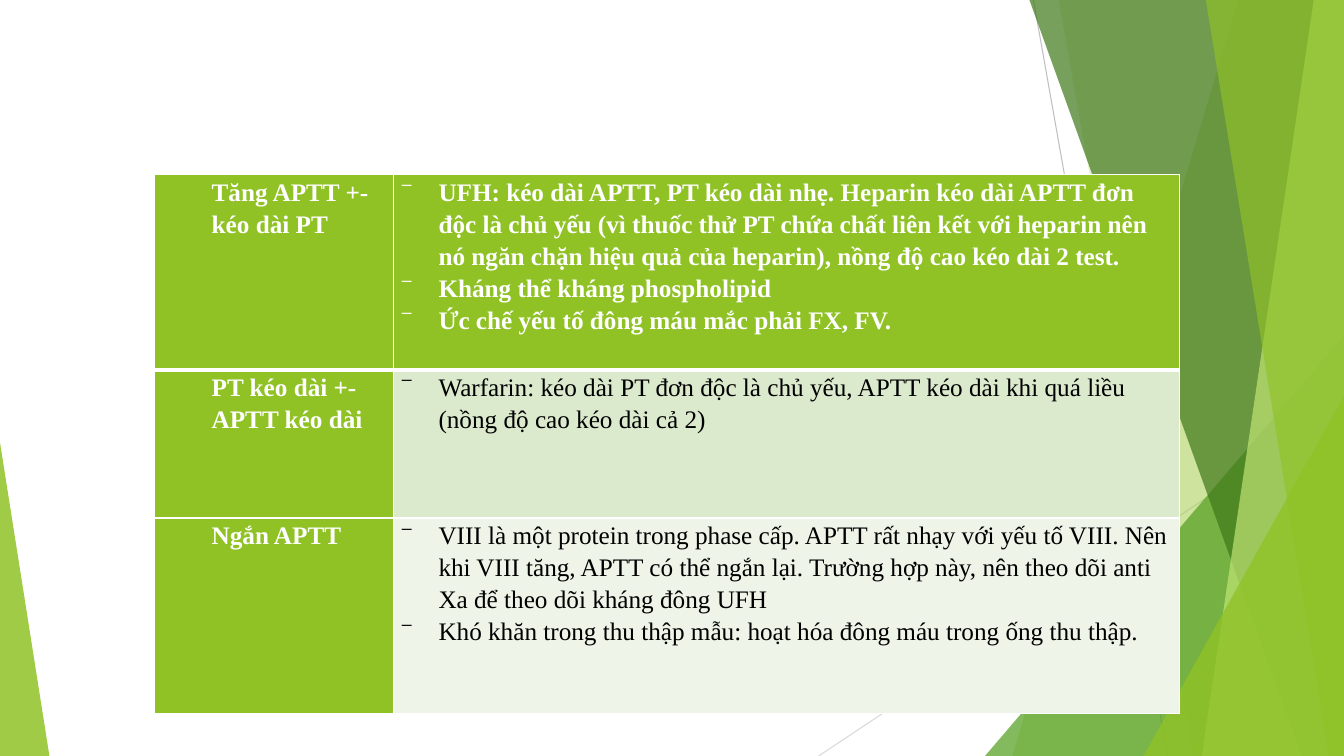
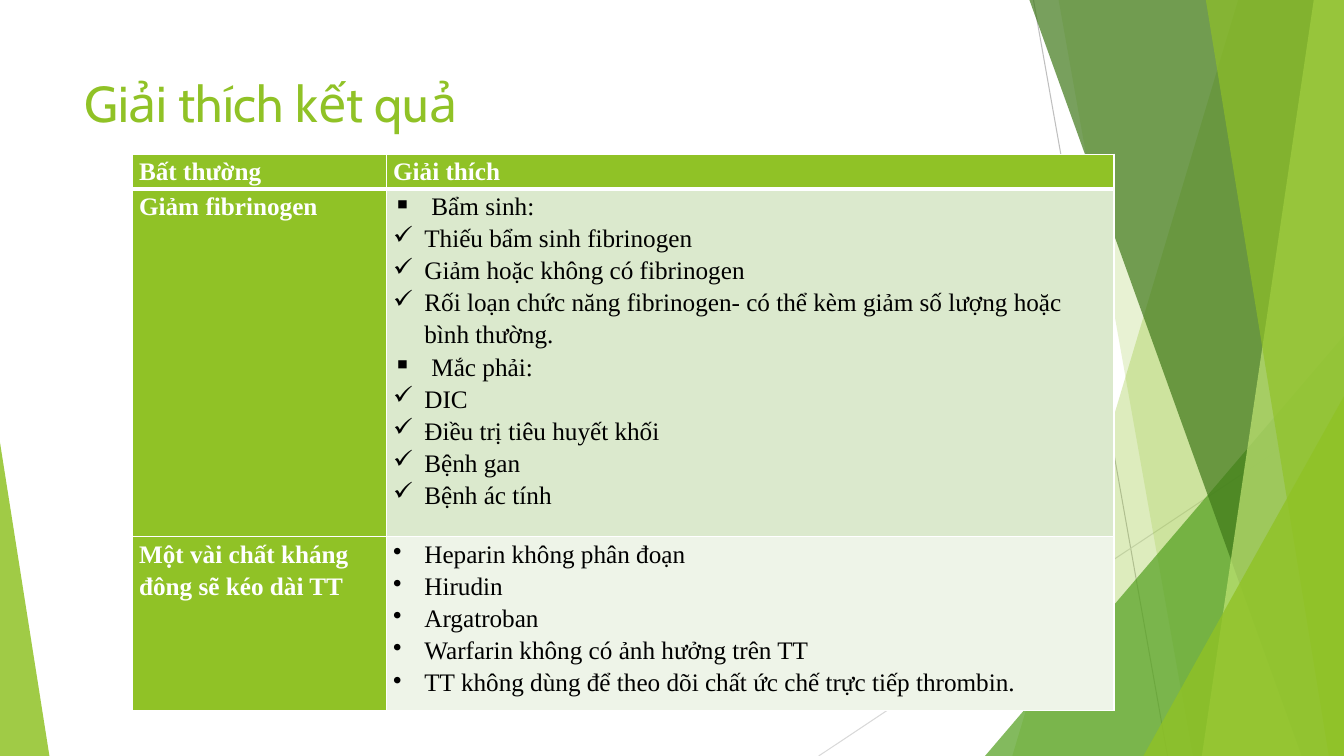
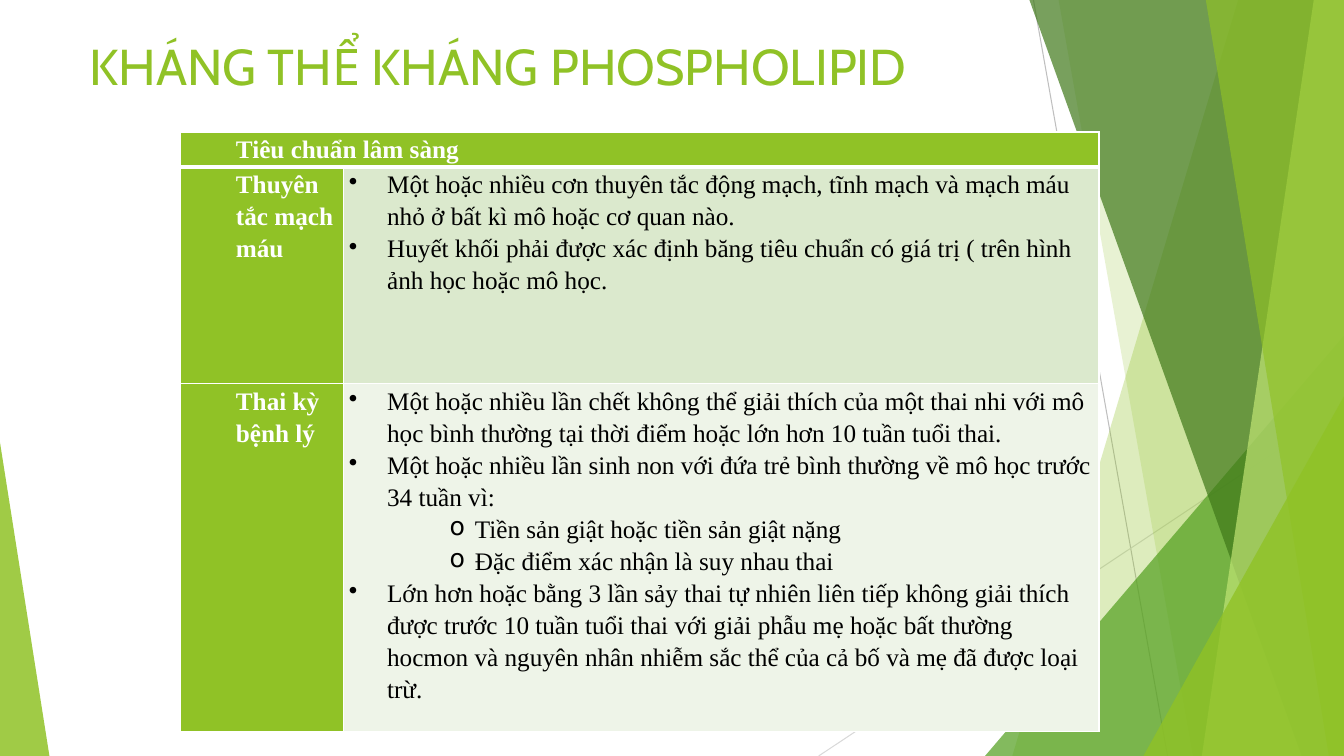
from pptx import Presentation
from pptx.dml.color import RGBColor
from pptx.enum.shapes import MSO_CONNECTOR, MSO_SHAPE
from pptx.oxml.ns import qn
from pptx.oxml.xmlchemy import OxmlElement
from pptx.util import Inches, Pt

LINE = MSO_CONNECTOR.STRAIGHT
TRI = MSO_SHAPE.ISOSCELES_TRIANGLE
WIDE, HIGH = 13.33, 7.5
GREEN, WHITE, BLACK = "90C226", "FFFFFF", "000000"
FILLS = [GREEN, "DBE9CD", "EEF4E8"]
TITLE = {"name": "Cabin", "size": Pt(36), "bold": False}
HEAD = {"name": "Times New Roman", "size": Pt(18), "bold": True}
BODY = {**HEAD, "bold": False}
RAYS = [((10.25, 0), (11.58, HIGH), "BFBFBF"),
        ((WIDE, 4.03), (8.12, HIGH), "D9D9D9")]
ART = [("band", (12.28, 10.04), GREEN, 30),
       ("band", (10.5, 11.83), GREEN, 20),
       ("peak", (9.77, 3.33, 3.56, 1), "54A021", 72),
       ("band", (10.21, 12.91), "3F7819", 70),
       ("band", (13.03, 11.92), "C0E474", 70),
       ("band", (11.96, 13.18), GREEN, 65),
       ("peak", (11.34, 3.93, 1.99, 1), GREEN, 80),
       ("peak", (0, 4.39, 0.49, 0), GREEN, 85)]


def tint(code):
    return RGBColor.from_string(code)


class Deck:
    """Holds the shared style and the slide being drawn."""

    def __init__(self):
        self.prs = Presentation()
        self.prs.slide_width = Inches(WIDE)
        self.prs.slide_height = Inches(HIGH)

    def page(self):
        self.shapes = self.prs.slides.add_slide(self.prs.slide_layouts[6]).shapes
        draw = {"band": self.band, "peak": self.peak}
        for start, end, code in RAYS:
            self.ray(start, end, code)
        for kind, place, code, alpha in ART:
            self.glaze(draw[kind](*place), code, alpha)

    def ray(self, start, end, code):
        line = self.shapes.add_connector(LINE, *map(Inches, start + end))
        line.line.color.rgb = tint(code)
        line.line.width = Pt(0.75)
        line._element.spPr.append(OxmlElement("a:effectLst"))

    def band(self, top, base):
        form = self.shapes.build_freeform(Inches(top), 0)
        points = [(WIDE, 0), (WIDE, HIGH), (base, HIGH)]
        form.add_line_segments([(Inches(x), Inches(y)) for x, y in points])
        return form.convert_to_shape()

    def peak(self, left, top, width, tip):
        box = map(Inches, (left, top, width, HIGH - top))
        shape = self.shapes.add_shape(TRI, *box)
        shape.adjustments[0] = tip
        return shape

    def glaze(self, shape, code, alpha):
        shape.shadow.inherit = False
        shape.fill.solid()
        shape.fill.fore_color.rgb = tint(code)
        node = OxmlElement("a:alpha")
        node.set("val", str(alpha * 1000))
        shape._element.spPr.find(qn("a:solidFill"))[0].append(node)
        shape.line.fill.background()

    def style(self, para, form, code):
        for run in para.runs:
            for key, value in form.items():
                setattr(run.font, key, value)
            run.font.color.rgb = tint(code)

    def title(self, text, left, top, width):
        box = self.shapes.add_textbox(*map(Inches, (left, top, width, 1.44)))
        box.text_frame.word_wrap = True
        para = box.text_frame.paragraphs[0]
        para.text = text
        self.style(para, TITLE, GREEN)

    def edge(self, cell, side, width):
        line = OxmlElement("a:ln" + side)
        line.set("w", str(Pt(width)))
        fill = OxmlElement("a:solidFill")
        color = OxmlElement("a:srgbClr")
        color.set("val", WHITE)
        fill.append(color)
        line.append(fill)
        cell._tc.get_or_add_tcPr().append(line)

    def item(self, para, text, mark, marks, form, code):
        para.text = text
        para.line_spacing = 1.15
        left, hang = marks.get(mark, (0, 0))
        props = para._p.get_or_add_pPr()
        props.set("marL", str(Inches(left)))
        props.set("indent", str(Inches(hang)))
        if mark:
            dot = OxmlElement("a:buChar")
            dot.set("char", mark)
            props.append(dot)
        if mark == "o":
            para.level = 2
        self.style(para, form, code)

    def cell(self, cell, items, row, head, pad, marks):
        cell.margin_left = cell.margin_right = Inches(pad)
        cell.margin_top = cell.margin_bottom = 0
        for side in "LRTB":
            thick = (row, side) in ((0, "B"), (1, "T"))
            self.edge(cell, side, 3 if thick else 1)
        cell.fill.solid()
        cell.fill.fore_color.rgb = tint(GREEN if head else FILLS[row])
        bold = head or row == 0
        form, code = (HEAD, WHITE) if bold else (BODY, BLACK)
        frame = cell.text_frame
        for i, (mark, text) in enumerate(items):
            para = frame.add_paragraph() if i else frame.paragraphs[0]
            self.item(para, text, mark, marks, form, code)

    def table(self, left, top, cols, highs, pad, marks, rows):
        box = map(Inches, (left, top, sum(cols), sum(highs)))
        grid = self.shapes.add_table(len(rows), len(cols), *box).table
        grid.horz_banding = False
        for col, width in zip(grid.columns, cols):
            col.width = Inches(width)
        for r, items in enumerate(rows):
            grid.rows[r].height = Inches(highs[r])
            if len(items) < len(cols):
                grid.cell(r, 0).merge(grid.cell(r, len(cols) - 1))
            for c in range(len(cols)):
                item = items[c] if c < len(items) else []
                self.cell(grid.cell(r, c), item, r, c == 0, pad, marks)


def head(text):
    return [("", text)]


def points(mark, *texts):
    return [(mark, text) for text in texts]


def main():
    deck = Deck()

    deck.page()
    deck.table(1.53, 1.73, [2.37, 7.8], [1.94, 1.47, 1.94], 0.07,
               {"": (0.5, 0), "⁻": (0.38, -0.38)}, [
        [head("Tăng APTT +- kéo dài PT"), points(
            "⁻",
            "UFH: kéo dài APTT, PT kéo dài nhẹ. Heparin kéo dài APTT đơn độc là chủ yếu "
            "(vì thuốc thử PT chứa chất liên kết với heparin nên nó ngăn chặn hiệu quả "
            "của heparin), nồng độ cao kéo dài 2 test.",
            "Kháng thể kháng phospholipid",
            "Ức chế yếu tố đông máu mắc phải FX, FV.")],
        [head("PT kéo dài +- APTT kéo dài"), points(
            "⁻",
            "Warfarin: kéo dài PT đơn độc là chủ yếu, APTT kéo dài khi quá liều\v"
            "(nồng độ cao kéo dài cả 2)")],
        [head("Ngắn APTT"), points(
            "⁻",
            "VIII là một protein trong phase cấp. APTT rất nhạy với yếu tố VIII. Nên khi "
            "VIII tăng, APTT có thể ngắn lại. Trường hợp này, nên theo dõi anti Xa để "
            "theo dõi kháng đông UFH",
            "Khó khăn trong thu thập mẫu: hoạt hóa đông máu trong ống thu thập.")]])

    deck.page()
    deck.title("Giải thích kết quả", 0.74, 0.67, 9.4)
    deck.table(1.31, 1.53, [2.52, 7.22], [0.32, 3.18, 1.59], 0.07,
               {"▪": (0.38, -0.38), "✓": (0.31, -0.31), "•": (0.31, -0.31)}, [
        [head("Bất thường"), head("Giải thích")],
        [head("Giảm fibrinogen"),
         points("▪", "Bẩm sinh:")
         + points("✓", "Thiếu bẩm sinh fibrinogen",
                  "Giảm hoặc không có fibrinogen",
                  "Rối loạn chức năng fibrinogen- có thể kèm giảm số lượng hoặc "
                  "bình thường.")
         + points("▪", "Mắc phải:")
         + points("✓", "DIC", "Điều trị tiêu huyết khối", "Bệnh gan",
                  "Bệnh ác tính")],
        [head("Một vài chất kháng đông sẽ kéo dài TT"), points(
            "•", "Heparin không phân đoạn", "Hirudin", "Argatroban",
            "Warfarin không có ảnh hưởng trên TT",
            "TT không dùng để theo dõi chất ức chế trực tiếp thrombin.")]])

    deck.page()
    deck.title("KHÁNG THỂ KHÁNG PHOSPHOLIPID", 0.79, 0.3, 11.5)
    deck.table(1.79, 1.31, [1.62, 7.49], [0.32, 2.15, 3.19], 0.05,
               {"": (0.5, 0), "•": (0.38, -0.38), "o": (1.25, -0.25)}, [
        [head("Tiêu chuẩn lâm sàng")],
        [head("Thuyên tắc mạch máu"), points(
            "•",
            "Một hoặc nhiều cơn thuyên tắc động mạch, tĩnh mạch và mạch máu nhỏ ở bất "
            "kì mô hoặc cơ quan nào.",
            "Huyết khối phải được xác định băng tiêu chuẩn có giá trị ( trên hình ảnh "
            "học hoặc mô học.")],
        [head("Thai kỳ bệnh lý"),
         points("•",
                "Một hoặc nhiều lần chết không thể giải thích của một thai nhi với mô "
                "học bình thường tại thời điểm hoặc lớn hơn 10 tuần tuổi thai.",
                "Một hoặc nhiều lần sinh non với đứa trẻ bình thường về mô học trước "
                "34 tuần vì:")
         + points("o", "Tiền sản giật hoặc tiền sản giật nặng",
                  "Đặc điểm xác nhận là suy nhau thai")
         + points("•",
                  "Lớn hơn hoặc bằng 3 lần sảy thai tự nhiên liên tiếp không giải thích "
                  "được trước 10 tuần tuổi thai với giải phẫu mẹ hoặc bất thường hocmon "
                  "và nguyên nhân nhiễm sắc thể của cả bố và mẹ đã được loại trừ.")]])

    deck.prs.save("out.pptx")


if __name__ == "__main__":
    main()
